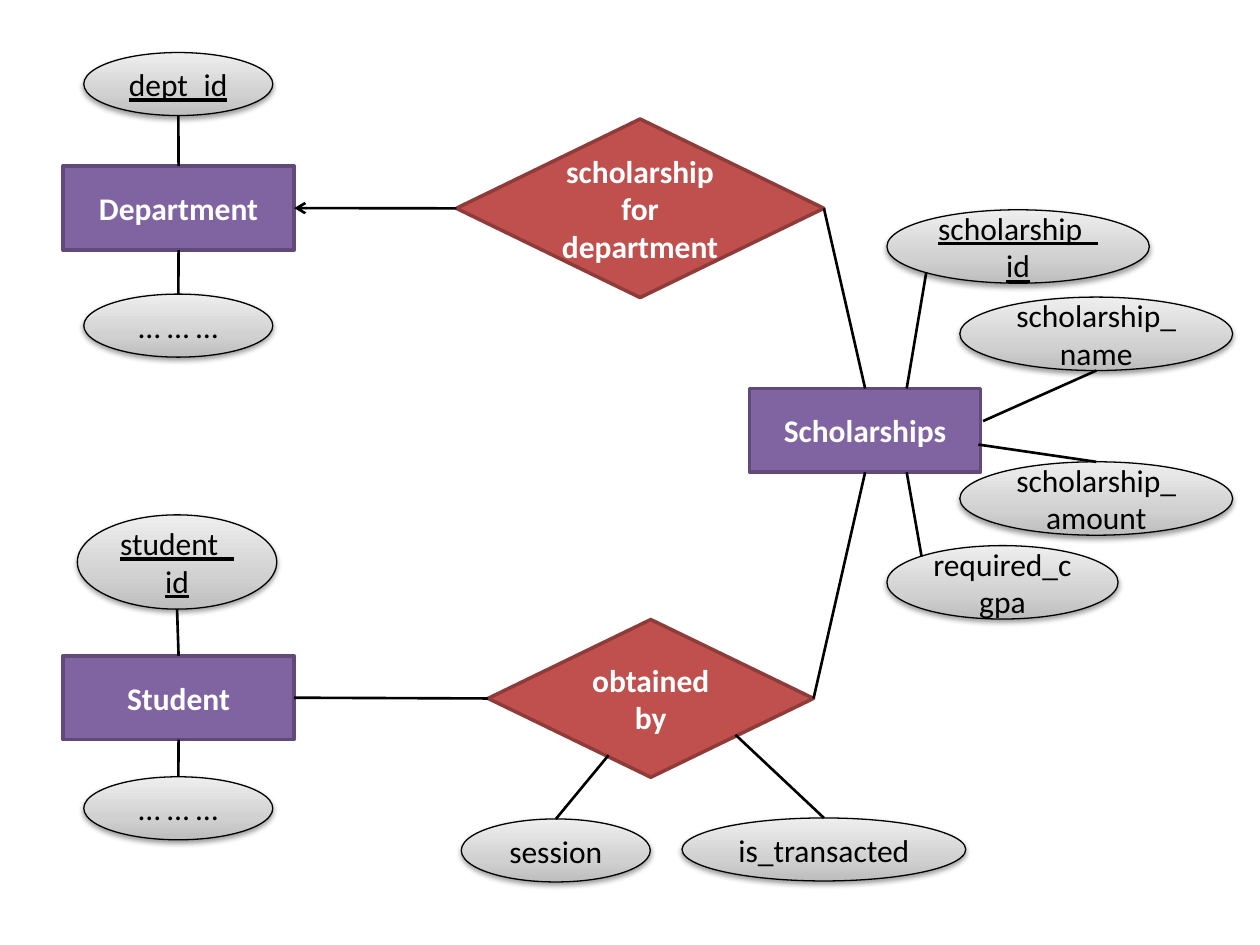
"""Build the scholarship entity-relationship diagram slide."""
from copy import deepcopy
from dataclasses import dataclass

from pptx import Presentation
from pptx.dml.color import RGBColor as RGB
from pptx.enum.shapes import MSO_CONNECTOR as CONN, MSO_SHAPE as SHAPE
from pptx.enum.text import MSO_ANCHOR as ANCHOR, PP_ALIGN as ALIGN
from pptx.oxml import parse_xml
from pptx.oxml.ns import nsdecls, qn
from pptx.util import Cm, Pt


@dataclass(frozen=True)
class Theme:
    """Colours, type and line sizes of the diagram."""
    font: str = "Calibri"
    size: int = 18
    ink: str = "000000"
    light: str = "FFFFFF"
    entity: tuple = ("8064A2", "5F4A78")
    relation: tuple = ("C0504D", "8E3B39")
    gradient: tuple = ((0, "BDBDBD"), (0.35, "D1D1D1"), (1, "EEEEEE"))
    box_line: float = 2
    oval_line: float = 0.75
    link_line: float = 1.5


T = Theme()
TOP, LEFT, BOTTOM, RIGHT = (0.5, 0), (0, 0.5), (0.5, 1), (1, 0.5)
SITES = {TOP: 0, LEFT: 1, BOTTOM: 2, RIGHT: 3}
ENTITY_SIZE = (4.66, 1.69)
SMALL_OVAL = (3.81, 1.27)
SHADOW = (
    f'<a:outerShdw {nsdecls("a")} blurRad="40000" dist="20000" dir="5400000" '
    f'rotWithShape="0"><a:srgbClr val="{T.ink}"><a:alpha val="38000"/>'
    '</a:srgbClr></a:outerShdw>'
)


def add_node(shapes, kind, text, pos, size, line, width, color, bold=False, underline=False):
    """Add an outlined shape with one centred run of text."""
    sp = shapes.add_shape(kind, *(Cm(v) for v in (*pos, *size)))
    sp.shadow.inherit = False
    sp.line.color.rgb = RGB.from_string(line)
    sp.line.width = Pt(width)
    tf = sp.text_frame
    tf.word_wrap = True
    tf.vertical_anchor = ANCHOR.MIDDLE
    p = tf.paragraphs[0]
    p.alignment = ALIGN.CENTER
    r = p.add_run()
    r.text = text
    r.font.name, r.font.size = T.font, Pt(T.size)
    r.font.bold, r.font.underline = bold, underline
    r.font.color.rgb = RGB.from_string(color)
    return sp


def add_box(shapes, kind, text, pos, size, colors):
    """Add a solid shape with bold light text."""
    fill, line = colors
    sp = add_node(shapes, kind, text, pos, size, line, T.box_line, T.light, bold=True)
    sp.fill.solid()
    sp.fill.fore_color.rgb = RGB.from_string(fill)
    return sp


def add_entity(shapes, text, pos):
    """Add an entity rectangle."""
    return add_box(shapes, SHAPE.RECTANGLE, text, pos, ENTITY_SIZE, T.entity)


def add_relation(shapes, text, pos, size):
    """Add a relationship diamond."""
    return add_box(shapes, SHAPE.DIAMOND, text, pos, size, T.relation)


def add_attribute(shapes, text, pos, size=SMALL_OVAL, key=False):
    """Add a shaded attribute oval, underlined when it is a key."""
    sp = add_node(shapes, SHAPE.OVAL, text, pos, size, T.ink, T.oval_line, T.ink, underline=key)
    sp.fill.gradient()
    sp.fill.gradient_angle = 90
    sp_pr = sp.element.spPr
    stops = sp_pr.find(".//" + qn("a:gsLst"))
    stops.append(deepcopy(stops[0]))
    for stop, (position, color) in zip(sp.fill.gradient_stops, T.gradient):
        stop.position = position
        stop.color.rgb = RGB.from_string(color)
    sp_pr.find(qn("a:effectLst")).append(parse_xml(SHADOW))
    return sp


def point_on(sp, spot):
    """Return the slide position of a fractional spot on a shape."""
    fx, fy = spot
    return int(sp.left + fx * sp.width), int(sp.top + fy * sp.height)


def add_link(shapes, start, start_spot, end, end_spot, arrow=False):
    """Draw a line between two spots, joined where they are side middles."""
    cx = shapes.add_connector(CONN.STRAIGHT, *point_on(start, start_spot), *point_on(end, end_spot))
    cx.line.color.rgb = RGB.from_string(T.ink)
    cx.line.width = Pt(T.link_line)
    joins = ((cx.begin_connect, start, start_spot), (cx.end_connect, end, end_spot))
    for connect, sp, spot in joins:
        if spot in SITES and sp.auto_shape_type != SHAPE.OVAL:
            connect(sp, SITES[spot])
    sp_pr = cx.element.spPr
    if arrow:
        sp_pr.find(qn("a:ln")).append(parse_xml(f'<a:tailEnd {nsdecls("a")} type="arrow"/>'))
    sp_pr.append(parse_xml(f'<a:effectLst {nsdecls("a")}/>'))


def add_keyed_entity(s, text, top, key, key_pos, key_size, rest_top):
    """Add a grouped entity with its key above and other attributes below."""
    shapes = s.shapes.add_group_shape().shapes
    entity = add_entity(shapes, text, (1.27, top))
    above = add_attribute(shapes, key, key_pos, key_size, key=True)
    below = add_attribute(shapes, "… … …", (1.69, rest_top))
    add_link(shapes, above, BOTTOM, entity, TOP)
    add_link(shapes, below, TOP, entity, BOTTOM)
    return entity


def add_scholarships(s):
    """Add the grouped scholarship entity with its attributes."""
    shapes = s.shapes.add_group_shape().shapes
    entity = add_entity(shapes, "Scholarships", (15.11, 7.83))
    attributes = (
        ("scholarship_id", (17.88, 4.23), (5.29, 1.48), True, (0.15, 0.85), (0.68, 0)),
        ("scholarship_name", (19.35, 5.99), (5.5, 1.48), False, BOTTOM, (1.01, 0.39)),
        ("required_cgpa", (17.88, 11), (4.66, 1.48), False, (0.15, 0.15), (0.68, 1)),
        ("scholarship_amount", (19.35, 9.31), (5.5, 1.48), False, TOP, (0.99, 0.67)),
    )
    for text, pos, size, key, spot, entity_spot in attributes:
        oval = add_attribute(shapes, text, pos, size, key)
        add_link(shapes, oval, spot, entity, entity_spot)
    return entity


def main():
    """Build and save the slide."""
    prs = Presentation()
    prs.slide_width, prs.slide_height = Cm(25.4), Cm(19.05)
    s = prs.slides.add_slide(prs.slide_layouts[6])

    department = add_keyed_entity(s, "Department", 3.35, "dept_id", (1.69, 1.06), SMALL_OVAL, 5.93)
    scholarships = add_scholarships(s)
    offered = add_relation(s.shapes, "scholarship for department", (9.2, 2.4), (7.41, 3.6))
    add_link(s.shapes, scholarships, TOP, offered, RIGHT)
    add_link(s.shapes, offered, LEFT, department, RIGHT, arrow=True)

    obtained = add_relation(s.shapes, "obtained by", (9.84, 12.49), (6.56, 3.18))
    student = add_keyed_entity(s, "Student", 13.22, "student_id", (1.56, 10.38), (4.02, 1.9), 15.66)
    add_link(s.shapes, obtained, LEFT, student, RIGHT)
    add_link(s.shapes, scholarships, BOTTOM, obtained, RIGHT)

    session = add_attribute(s.shapes, "session", (9.3, 16.51))
    add_link(s.shapes, session, TOP, obtained, (0.37, 0.86))
    transacted = add_attribute(s.shapes, "is_transacted", (13.75, 16.49), (5.72, 1.27))
    add_link(s.shapes, transacted, TOP, obtained, (0.76, 0.73))
    prs.save("out.pptx")


if __name__ == "__main__":
    main()
